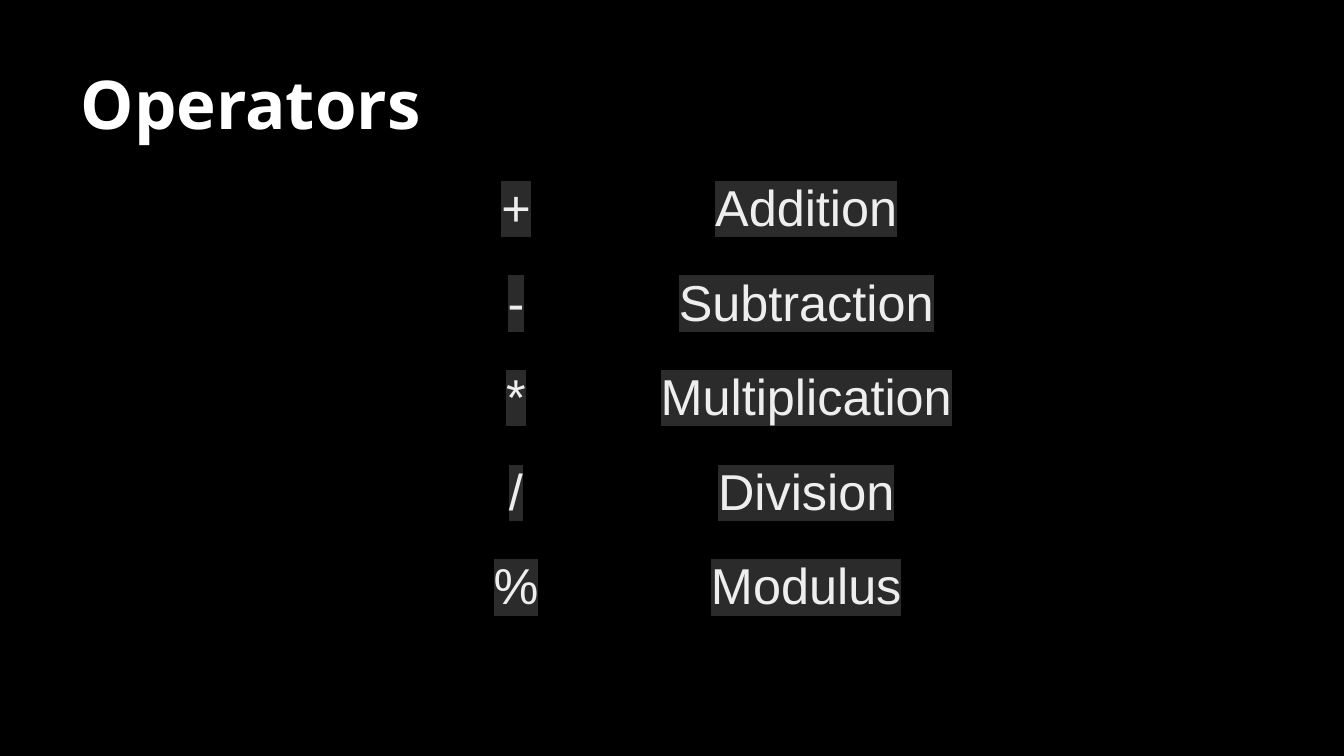
from dataclasses import dataclass

import lxml.etree
import pptx
import pptx.dml.color
import pptx.enum.text
import pptx.oxml.ns
import pptx.util

Pt = pptx.util.Pt
ALIGN = pptx.enum.text.PP_ALIGN
ANCHOR = pptx.enum.text.MSO_ANCHOR
qn = pptx.oxml.ns.qn

COLORS = {
    "background": "000000",
    "title": "FFFFFF",
    "text": "EEEEEE",
    "highlight": "2B2B2B",
    "border": "000000",
}


@dataclass(frozen=True)
class Operator:
    symbol: str
    name: str


OPERATORS = [
    Operator("+", "Addition"),
    Operator("-", "Subtraction"),
    Operator("*", "Multiplication"),
    Operator("/", "Division"),
    Operator("%", "Modulus"),
]
COLUMN_WIDTHS = (117.5, 193.5)
ROW_HEIGHT = 47.25


def rgb(name: str) -> pptx.dml.color.RGBColor:
    return pptx.dml.color.RGBColor.from_string(COLORS[name])


def add_color(parent, tag: str, color: str) -> None:
    el = lxml.etree.SubElement(parent, qn(tag))
    lxml.etree.SubElement(el, qn("a:srgbClr"), val=COLORS[color])


def write(tf, text: str, *, size: float, font: str, color: str,
          bold: bool = False, align=ALIGN.LEFT, spacing: float = 1.0,
          highlight: str = "") -> None:
    p = tf.paragraphs[0]
    p.alignment = align
    p.line_spacing = spacing
    r = p.add_run()
    r.text = text
    r.font.size = Pt(size)
    r.font.bold = bold
    r.font.color.rgb = rgb(color)
    if highlight:
        add_color(r.font._element, "a:highlight", highlight)
    r.font.name = font


def add_title(slide, text: str) -> None:
    sp = slide.shapes.title
    sp.left, sp.top, sp.width, sp.height = Pt(36), Pt(16.5), Pt(648), Pt(67.5)
    tf = sp.text_frame
    tf.word_wrap = True
    tf.auto_size = pptx.enum.text.MSO_AUTO_SIZE.NONE
    tf.vertical_anchor = ANCHOR.BOTTOM
    tf.margin_left = tf.margin_right = tf.margin_top = tf.margin_bottom = Pt(7.2)
    write(tf, text, size=36, font="Open Sans", color="title", bold=True)


def format_cell(cell, text: str) -> None:
    cell.vertical_anchor = ANCHOR.MIDDLE
    cell.margin_left = cell.margin_top = cell.margin_bottom = Pt(7.2)
    cell.margin_right = Pt(7.9)
    tcPr = cell._tc.get_or_add_tcPr()
    for side in "LRTB":
        ln = lxml.etree.SubElement(tcPr, qn(f"a:ln{side}"), w=str(Pt(0.75)))
        add_color(ln, "a:solidFill", "border")
    cell.fill.background()
    write(cell.text_frame, text, size=27, font="Arial", color="text",
          align=ALIGN.CENTER, spacing=1.2, highlight="highlight")


def add_operator_table(slide, operators: list[Operator]) -> None:
    table = slide.shapes.add_table(
        len(operators), len(COLUMN_WIDTHS), Pt(218), Pt(83.5),
        Pt(sum(COLUMN_WIDTHS)), Pt(ROW_HEIGHT * len(operators))).table
    table.first_row = table.horz_banding = False
    for column, width in zip(table.columns, COLUMN_WIDTHS):
        column.width = Pt(width)
    for row, operator in zip(table.rows, operators):
        row.height = Pt(ROW_HEIGHT)
        for cell, text in zip(row.cells, (operator.symbol, operator.name)):
            format_cell(cell, text)


def main() -> None:
    prs = pptx.Presentation()
    prs.slide_width, prs.slide_height = Pt(720), Pt(405)
    slide = prs.slides.add_slide(prs.slide_layouts[5])
    fill = slide.background.fill
    fill.solid()
    fill.fore_color.rgb = rgb("background")
    add_title(slide, "Operators")
    add_operator_table(slide, OPERATORS)
    prs.save("out.pptx")


if __name__ == "__main__":
    main()
